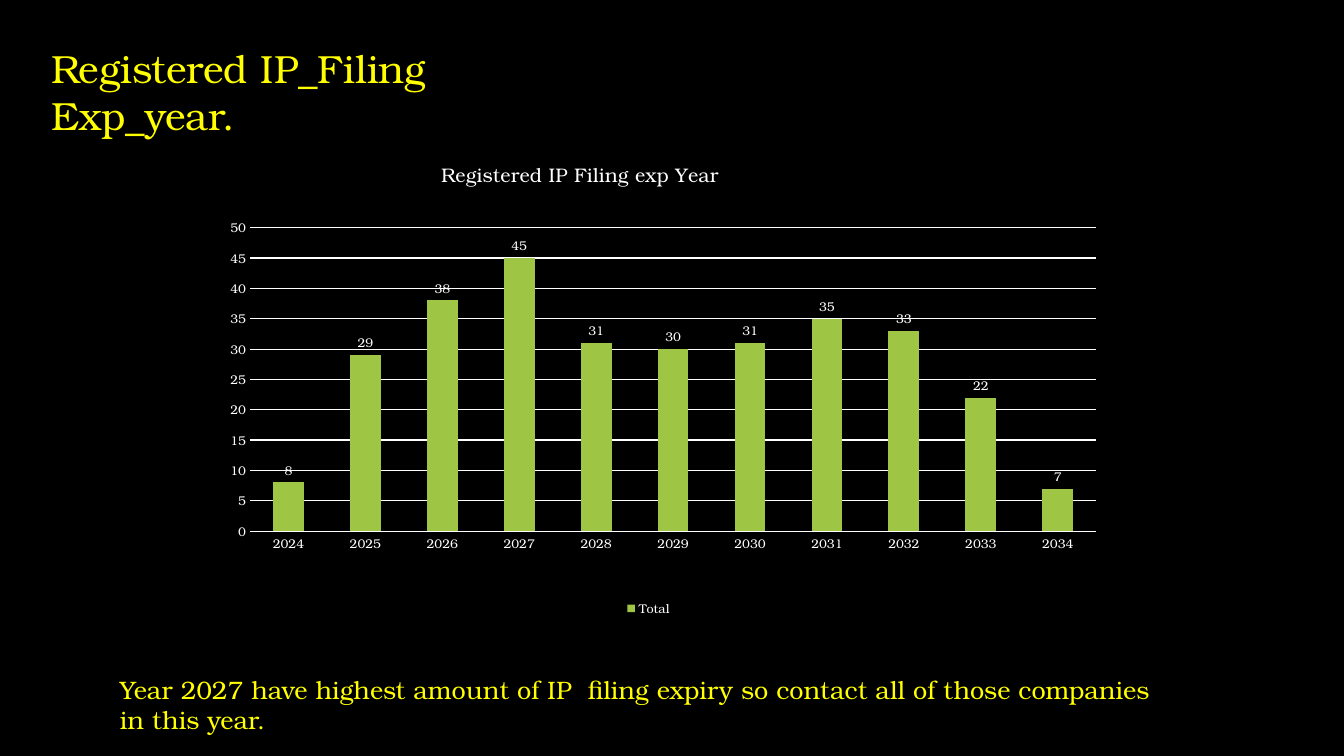
from dataclasses import dataclass

from lxml import etree
from pptx import Presentation, util as u
from pptx.chart.data import CategoryChartData
from pptx.dml.color import RGBColor
from pptx.enum import chart as ch, text
from pptx.oxml.ns import qn

SCALE = 914400 / 100.8  # EMU per px


@dataclass(frozen=True)
class Theme:
    font: str = "TeX Gyre Bonum"
    background: str = "000000"
    accent: str = "FFFF00"
    chart_text: str = "FFFFFF"
    bar: str = "9EC544"
    title_size: int = 28
    note_size: int = 18
    chart_title_size: int = 14
    label_size: int = 9


THEME = Theme()
FILINGS = dict(zip(range(2024, 2035), (8, 29, 38, 45, 31, 30, 31, 35, 33, 22, 7)))


def px(n):
    return u.Emu(round(n * SCALE))


def box(*lengths):
    return [px(n) for n in lengths]


def style_font(font, size, color):
    font.name = THEME.font
    font.size = u.Pt(size)
    font.bold = False
    font.color.rgb = RGBColor.from_string(color)


def write_text(sp, words, size):
    tf = sp.text_frame
    tf.word_wrap = True
    tf.auto_size = text.MSO_AUTO_SIZE.NONE
    tf.vertical_anchor = text.MSO_ANCHOR.TOP
    p = tf.paragraphs[0]
    p.alignment = text.PP_ALIGN.LEFT
    r = p.add_run()
    r.text = words
    style_font(r.font, size, THEME.accent)


def add_title(s, words, *lengths):
    sp = s.shapes.title
    sp.left, sp.top, sp.width, sp.height = box(*lengths)
    write_text(sp, words, THEME.title_size)


def add_note(s, words, *lengths):
    write_text(s.shapes.add_textbox(*box(*lengths)), words, THEME.note_size)


def place(part, before, inner=False, **fractions):
    """Fix a chart part at fractions of the chart area, ahead of the given tags."""
    for old in part.findall(qn("c:layout")):
        part.remove(old)
    layout = etree.Element(qn("c:layout"))
    manual = etree.SubElement(layout, qn("c:manualLayout"))
    settings = {"layoutTarget": "inner"} if inner else {}
    settings.update(xMode="edge", yMode="edge", **fractions)
    for name, value in settings.items():
        etree.SubElement(manual, qn("c:" + name)).set("val", str(value))
    follower = next(e for e in part if e.tag in [qn(t) for t in before])
    follower.addprevious(layout)


def style_axis(axis):
    axis.major_tick_mark = axis.minor_tick_mark = ch.XL_TICK_MARK.NONE
    axis.format.line.fill.background()
    style_font(axis.tick_labels.font, THEME.label_size, THEME.chart_text)


def style_value_axis(axis):
    style_axis(axis)
    axis.minimum_scale, axis.maximum_scale, axis.major_unit = 0, 50, 5
    line = axis.major_gridlines.format.line
    line.color.rgb = RGBColor.from_string(THEME.chart_text)
    line.width = u.Pt(0.75)


def style_bars(plot):
    plot.gap_width = 150
    plot.vary_by_categories = False
    fill = plot.series[0].format.fill
    fill.solid()
    fill.fore_color.rgb = RGBColor.from_string(THEME.bar)
    plot.has_data_labels = True
    labels = plot.data_labels
    labels.show_value = True
    labels.position = ch.XL_LABEL_POSITION.OUTSIDE_END
    style_font(labels.font, THEME.label_size, THEME.chart_text)


def add_chart_title(chart, words):
    chart.has_title = True
    title = chart.chart_title
    r = title.text_frame.paragraphs[0].add_run()
    r.text = words
    style_font(r.font, THEME.chart_title_size, THEME.chart_text)
    title.include_in_layout = False
    place(title._element, ["c:overlay"], x=0.28, y=0.08)


def add_legend(chart):
    chart.has_legend = True
    legend = chart.legend
    legend.position = ch.XL_LEGEND_POSITION.RIGHT
    legend.include_in_layout = False
    style_font(legend.font, THEME.label_size, THEME.chart_text)
    place(legend._element, ["c:overlay"], x=0.475, y=0.92)


def add_filing_chart(s, title, *lengths):
    data = CategoryChartData()
    data.categories = [str(year) for year in FILINGS]
    data.add_series("Total", FILINGS.values())
    chart = s.shapes.add_chart(
        ch.XL_CHART_TYPE.COLUMN_CLUSTERED, *box(*lengths), data).chart
    style_font(chart.font, 10, THEME.chart_text)
    add_chart_title(chart, title)
    add_legend(chart)
    style_axis(chart.category_axis)
    style_value_axis(chart.value_axis)
    style_bars(chart.plots[0])
    place(chart._chartSpace.chart.plotArea, ["c:barChart"], inner=True,
          x=0.083, y=0.217, w=0.889, h=0.579)


def main():
    prs = Presentation()
    prs.slide_width, prs.slide_height = box(1344, 756)
    s = prs.slides.add_slide(prs.slide_layouts[5])
    fill = s.background.fill
    fill.solid()
    fill.fore_color.rgb = RGBColor.from_string(THEME.background)
    add_title(s, "Registered IP_Filing Exp_year.", 41, 39, 577, 57)
    add_filing_chart(s, "Registered IP Filing exp Year", 171, 114, 952, 524)
    add_note(s, "Year 2027 have highest amount of IP  filing expiry so contact "
             "all of those companies in this year.", 110, 669, 1072, 72)
    prs.save("out.pptx")


if __name__ == "__main__":
    main()
